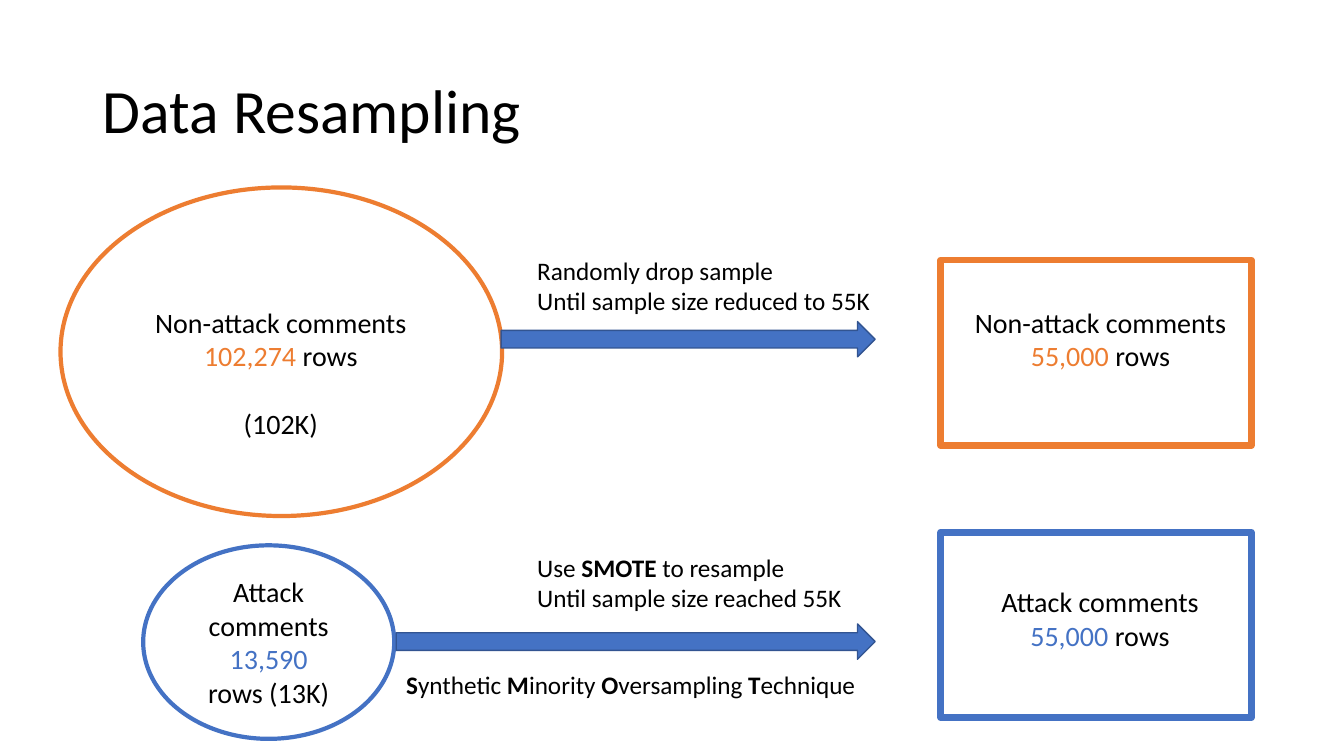
from pptx import Presentation
from pptx.dml.color import RGBColor
from pptx.enum.shapes import MSO_SHAPE
from pptx.enum.text import MSO_ANCHOR, MSO_AUTO_SIZE, PP_ALIGN
from pptx.util import Inches, Pt

BLACK = RGBColor(0x00, 0x00, 0x00)
ORANGE = RGBColor(0xED, 0x7D, 0x31)
BLUE = RGBColor(0x44, 0x72, 0xC4)
DARK_BLUE = RGBColor(0x32, 0x54, 0x91)
FONT = "Calibri"

ARROW_TIP = 8.68
ARROW_HEIGHT = 0.35
RESULT_LEFT, RESULT_WIDTH, RESULT_HEIGHT = 9.33, 3.08, 1.84


def add_run(paragraph, text, size, color=BLACK, bold=False):
    run = paragraph.add_run()
    run.text = text
    run.font.name = FONT
    run.font.size = Pt(size)
    run.font.color.rgb = color
    run.font.bold = bold


def add_title(slide, text):
    title = slide.shapes.title
    title.left, title.top = Inches(0.92), Inches(0.4)
    title.width, title.height = Inches(11.5), Inches(1.45)
    title.text_frame.vertical_anchor = MSO_ANCHOR.MIDDLE
    paragraph = title.text_frame.paragraphs[0]
    paragraph.alignment = PP_ALIGN.LEFT
    paragraph.line_spacing = 0.9
    add_run(paragraph, text, 44)


def add_figure(slide, preset, box, line_color, line_width, fill=None):
    figure = slide.shapes.add_shape(preset, *map(Inches, box))
    figure.shadow.inherit = False
    if fill is None:
        figure.fill.background()
    else:
        figure.fill.solid()
        figure.fill.fore_color.rgb = fill
    figure.line.color.rgb = line_color
    figure.line.width = Pt(line_width)


def add_arrow(slide, left, top):
    box = (left, top, ARROW_TIP - left, ARROW_HEIGHT)
    add_figure(slide, MSO_SHAPE.RIGHT_ARROW, box, DARK_BLUE, 1, BLUE)


def add_text(slide, box, lines, size, align=PP_ALIGN.LEFT, wrap=False):
    """Add a text box; each line is a list of (text, format options) runs."""
    frame = slide.shapes.add_textbox(*map(Inches, box)).text_frame
    frame.word_wrap = wrap
    frame.auto_size = MSO_AUTO_SIZE.SHAPE_TO_FIT_TEXT
    for index, line in enumerate(lines):
        paragraph = frame.paragraphs[0] if index == 0 else frame.add_paragraph()
        paragraph.alignment = align
        for text, options in line:
            add_run(paragraph, text, size, **options)
    return frame


def add_count(slide, box, label, count, unit, color, wrap=False):
    """Add a centred class label with its coloured row count below."""
    lines = [[(label, {})], [(count, {"color": color}), (unit, {})]]
    return add_text(slide, box, lines, 20, PP_ALIGN.CENTER, wrap)


def add_non_attack_row(slide):
    add_figure(slide, MSO_SHAPE.OVAL, (0.6, 1.86, 4.38, 3.26), ORANGE, 3)
    source = add_count(slide, (1.42, 2.98, 2.73, 1.45),
                       "Non-attack comments", "102,274 ", "rows", ORANGE)
    short_count = source.add_paragraph()
    short_count.alignment = PP_ALIGN.CENTER
    short_count.space_before = Pt(24)
    add_run(short_count, "(102K)", 20)

    add_arrow(slide, 4.97, 3.19)
    add_text(slide, (5.23, 2.48, 3.54, 0.71),
             [[("Randomly drop sample", {})],
              [("Until sample size reduced to 55K", {})]], 18)

    add_figure(slide, MSO_SHAPE.RECTANGLE,
               (RESULT_LEFT, 2.58, RESULT_WIDTH, RESULT_HEIGHT), ORANGE, 4.75)
    add_count(slide, (9.55, 2.98, 2.73, 0.77),
              "Non-attack comments", "55,000 ", "rows", ORANGE)


def add_attack_row(slide):
    add_figure(slide, MSO_SHAPE.OVAL, (1.42, 5.41, 2.49, 1.92), BLUE, 3)
    add_count(slide, (1.89, 5.65, 1.55, 1.45),
              "Attack comments", "13,590 ", "rows (13K)", BLUE, wrap=True)

    add_arrow(slide, 3.93, 6.19)
    bold = {"bold": True}
    add_text(slide, (5.23, 5.43, 3.26, 0.71),
             [[("Use ", {}), ("SMOTE", bold), (" to resample", {})],
              [("Until sample size reached 55K", {})]], 18)
    acronym = [("S", "ynthetic"), (" M", "inority"),
               (" O", "versampling"), (" T", "echnique")]
    expansion = [run for initial, rest in acronym
                 for run in ((initial, bold), (rest, {}))]
    add_text(slide, (3.93, 6.59, 4.75, 0.4), [expansion], 18, wrap=True)

    add_figure(slide, MSO_SHAPE.RECTANGLE,
               (RESULT_LEFT, 5.28, RESULT_WIDTH, RESULT_HEIGHT), BLUE, 4.75)
    add_count(slide, (9.6, 5.75, 2.62, 0.77),
              "Attack comments", "55,000 ", "rows", BLUE, wrap=True)


def main():
    deck = Presentation()
    deck.slide_width, deck.slide_height = Inches(13.33), Inches(7.5)
    title_only = deck.slide_layouts[5]
    slide = deck.slides.add_slide(title_only)
    add_title(slide, "Data Resampling")
    add_non_attack_row(slide)
    add_attack_row(slide)
    deck.save("out.pptx")


if __name__ == "__main__":
    main()
